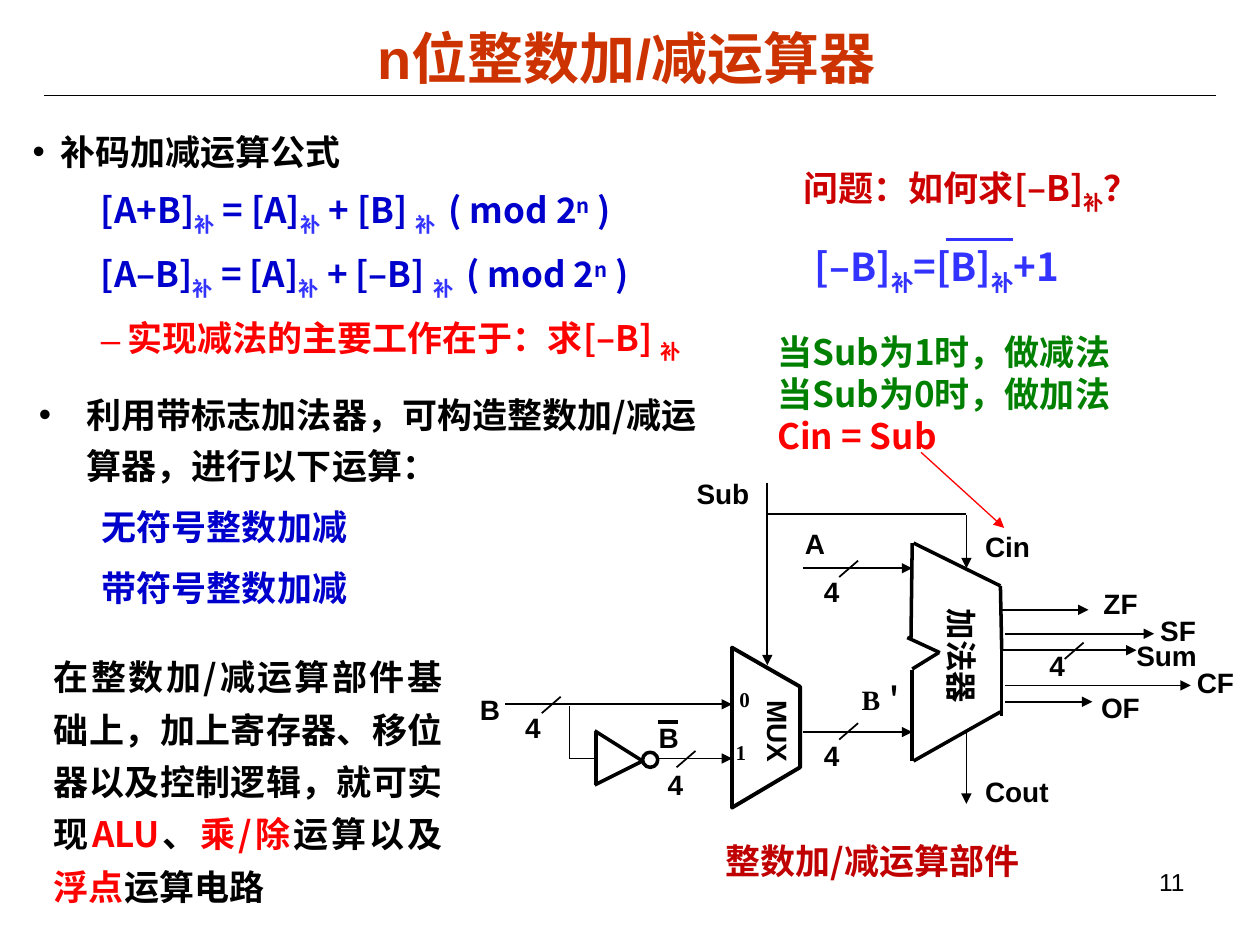
import pptx
import pptx.dml.color
import pptx.enum.shapes
import pptx.enum.text
import pptx.oxml
import pptx.oxml.ns
import pptx.util

PX = 9144  # 100 px to the inch
THEME = {
    "black": "000000", "title": "CC3300", "blue": "0000CC", "light": "3333FF",
    "red": "FF0000", "crimson": "CC0000", "caption": "C00000", "green": "008000",
    "title_size": 32, "formula_size": 22, "body_size": 20, "adder_size": 18,
    "label_size": 16, "number_size": 14, "port_size": 12,
    "sans": "Arial", "cjk": "Noto Sans CJK SC", "serif": "Times New Roman",
}
ALIGN = pptx.enum.text.PP_ALIGN
ANCHOR = pptx.enum.text.MSO_ANCHOR
AUTO = pptx.enum.text.MSO_AUTO_SIZE
NAMESPACE = pptx.oxml.ns.nsdecls("a")
rgb = pptx.dml.color.RGBColor.from_string

presentation = pptx.Presentation()
presentation.slide_width, presentation.slide_height = 1000 * PX, 750 * PX
slide = presentation.slides.add_slide(presentation.slide_layouts[6])


def add_text(box, paragraphs, size="body_size", font="cjk", align=None, wrap=True, grow=True,
             anchor=ANCHOR.TOP, inset=(10, 5), rotation=0, spacing=None, before=0):
    """Each paragraph is (runs, layout); each run is (text, colour, baseline)."""
    shape = slide.shapes.add_textbox(*[length * PX for length in box])
    shape.rotation = rotation
    frame = shape.text_frame
    frame.word_wrap = wrap
    frame.auto_size = AUTO.SHAPE_TO_FIT_TEXT if grow else AUTO.NONE
    frame.vertical_anchor = anchor
    frame.margin_left = frame.margin_right = inset[0] * PX
    frame.margin_top = frame.margin_bottom = inset[1] * PX
    for index, (runs, layout) in enumerate(paragraphs):
        paragraph = frame.paragraphs[0] if index == 0 else frame.add_paragraph()
        properties = paragraph._p.get_or_add_pPr()
        if layout:
            margin, indent, bullet, bullet_colour = layout
            properties.set("marL", str(margin * PX))
            properties.set("indent", str(indent * PX))
            if bullet:
                for element in (
                    f'<a:buClr {NAMESPACE}><a:srgbClr val="{THEME[bullet_colour]}"/></a:buClr>',
                    f'<a:buFont {NAMESPACE} typeface="{THEME["sans"]}"/>',
                    f'<a:buChar {NAMESPACE} char="{bullet}"/>',
                ):
                    properties.append(pptx.oxml.parse_xml(element))
        paragraph.alignment = align
        paragraph.line_spacing = spacing
        if index and before:
            paragraph.space_before = pptx.util.Pt(before)
        for text, colour, baseline in runs:
            run = paragraph.add_run()
            run.text = text
            run.font.size = pptx.util.Pt(THEME[size])
            run.font.bold = size != "number_size"
            run.font.color.rgb = rgb(THEME[colour])
            run.font.name = THEME[font]
            run_properties = run._r.get_or_add_rPr()
            run_properties.append(pptx.oxml.parse_xml(
                f'<a:ea {NAMESPACE} typeface="{THEME["cjk"]}"/>'))
            if baseline:
                run_properties.set("baseline", str(baseline * 1000))


def add_line(x1, y1, x2, y2, width=1, colour="black", arrow=False):
    connector = slide.shapes.add_connector(
        pptx.enum.shapes.MSO_CONNECTOR.STRAIGHT, x1 * PX, y1 * PX, x2 * PX, y2 * PX)
    connector.line.width = pptx.util.Pt(width)
    connector.line.color.rgb = rgb(THEME[colour])
    if arrow:
        connector.line._get_or_add_ln().append(pptx.oxml.parse_xml(
            f'<a:tailEnd {NAMESPACE} type="triangle"/>'))
    connector._element.spPr.append(pptx.oxml.parse_xml(f'<a:effectLst {NAMESPACE}/>'))


# Title and rule
add_line(35, 76, 965, 76, 0.75)
add_text((96, 15, 802, 60), [([("n位整数加/减运算器", "title", 0)], None)], "title_size", "sans",
         ALIGN.CENTER, grow=False, anchor=ANCHOR.MIDDLE, inset=(0, 0))

# Left column: formulas
formulas = [
    ([(left, "blue", 0), ("补", "light", -25), (" = [A]", "blue", 0), ("补", "light", -25),
      (right, "blue", 0), ("补 ", "light", -25), (" ( mod 2", "blue", 0), ("n", "blue", 30),
      (" )", "blue", 0)], (75, -21, None, None))
    for left, right in [("[A+B]", " + [B] "), ("[A–B]", " + [–B] ")]]
add_text((19, 96, 647, 196), [
    ([("补码加减运算公式", "black", 0)], (22, -22, "•", "black")),
    *formulas,
    ([("实现减法的主要工作在于：求[–B] ", "red", 0), ("补", "red", -25)], (75, -21, "–", "red")),
], inset=(7, 3), spacing=1.15, before=5)

# Left column: operations and extension
add_text((21, 301, 543, 282), [
    ([("利用带标志加法器，可构造整数加/减运算器，进行以下运算：", "black", 0)],
     (38, -38, "•", "black")),
    *[([(text, "blue", 0)], (81, -31, None, None))
      for text in ("无符号整数加减", "带符号整数加减")],
], grow=False, spacing=1.2, before=6.2)
add_text((33, 507, 328, 219), [([
    ("在整数加/减运算部件基础上，加上寄存器、移位器以及控制逻辑，就可实现", "black", 0),
    ("ALU", "red", 0), ("、", "black", 0), ("乘/除", "red", 0), ("运算以及", "black", 0),
    ("浮点", "red", 0), ("运算电路", "black", 0)], None)], align=ALIGN.JUSTIFY, spacing=1.25)

# Right column: question, answer and control rule
add_text((628, 127, 314, 48), [([("问题：如何求[–B]", "crimson", 0), ("补", "crimson", -25),
                                 ("？", "crimson", 0)], None)])
add_text((637, 188, 260, 52), [([("[–B]", "light", 0), ("补", "light", -25), ("=[B]", "light", 0),
                                 ("补", "light", -25), ("+1", "light", 0)], None)],
         "formula_size")
add_line(751, 190, 804, 190, 1.5, "light")
add_text((607, 257, 360, 110), [
    ([(text, colour, 0)], None) for text, colour in
    [("当Sub为1时，做减法", "green"), ("当Sub为0时，做加法", "green"), ("Cin = Sub", "red")]
], anchor=ANCHOR.MIDDLE)
add_line(731, 359, 797, 419, 0.75, "red", arrow=True)

# Adder and inverter outlines
for edge in [
    (724, 431, 723, 507), (725, 431, 794, 465), (720, 506, 746, 518), (794, 465, 795, 515),
    (724, 604, 724, 532), (725, 604, 794, 565), (724, 531, 745, 518), (795, 568, 795, 515),
    (510, 604, 472, 580), (510, 604, 472, 623), (473, 582, 473, 623),
]:
    add_line(*edge, 2)
bubble = slide.shapes.add_shape(pptx.enum.shapes.MSO_SHAPE.OVAL,
                                510 * PX, 597 * PX, 12 * PX, 12 * PX)
bubble.shadow.inherit = False
bubble.fill.background()
bubble.line.color.rgb = rgb(THEME["black"])
bubble.line.width = pptx.util.Pt(2)

# Multiplexer outline
builder = slide.shapes.build_freeform(581, 641, scale=PX)
builder.add_line_segments([(635, 609), (635, 545), (581, 514)], close=True)
multiplexer = builder.convert_to_shape()
multiplexer.shadow.inherit = False
multiplexer.fill.background()
multiplexer.line.color.rgb = rgb(THEME["black"])
multiplexer.line.width = pptx.util.Pt(2.25)

# Signal arrows
for signal in [
    (637, 451, 724, 451), (637, 581, 724, 581), (401, 559, 581, 559), (523, 602, 581, 602),
    (609, 383, 609, 528), (767, 409, 767, 451), (767, 582, 767, 638), (795, 484, 864, 484),
    (798, 503, 916, 503), (796, 516, 902, 516), (798, 544, 945, 544), (798, 557, 867, 557),
]:
    add_line(*signal, arrow=True)

# Plain wires, bus slashes and the bar over B
for wire in [(452, 560, 452, 602), (452, 602, 472, 602), (767, 408, 608, 408)]:
    add_line(*wire)
for x, y in [(681, 574), (681, 445), (860, 510), (445, 553), (552, 596)]:
    add_line(x, y, x - 15, y + 13)
add_line(522, 573, 538, 573, 2.25)

# Signal labels
for text, x, y, width in [
    ("Sum", 892, 502, 68), ("A", 629, 413, 36), ("ZF", 866, 461, 47), ("Cin", 772, 415, 56),
    ("B", 371, 545, 36), ("Sub", 543, 373, 62), ("B", 513, 567, 36),
    ("OF", 864, 543, 51), ("SF", 911, 482, 59), ("CF", 940, 523, 60),
    ("4", 644, 451, 32), ("4", 644, 581, 32), ("4", 407, 559, 32), ("4", 520, 604, 32),
]:
    add_text((x, y, width, 36), [([(text, "black", 0)], None)], "label_size", "sans", wrap=False)
add_text((772, 610, 80, 36), [([("Cout", "black", 0)], None)], "label_size", "sans")
add_text((823, 516, 32, 30), [([("4", "black", 0)], None)], "label_size", "sans",
         wrap=False, spacing=0.75)
add_text((674, 537, 68, 37), [([("B＇", "black", 0)], None)], "label_size", "serif")
for text, x, y in [("0", 577, 540), ("1", 574, 582)]:
    add_text((x, y, 28, 30), [([(text, "black", 0)], None)], "port_size", "serif", wrap=False)

# Block names
add_text((710, 507, 107, 40), [([("加法器", "black", 0)], None)], "adder_size", "sans", rotation=90)
add_text((577, 569, 82, 36), [([("MUX", "black", 0)], None)], "label_size", "sans", rotation=90)

# Caption and slide number
add_text((566, 661, 261, 77), [([("整数加/减运算部件", "caption", 0)], None)])
add_text((717, 683, 233, 52), [([("11", "black", 0)], None)], "number_size", "sans",
         ALIGN.RIGHT, grow=False)

presentation.save("out.pptx")
